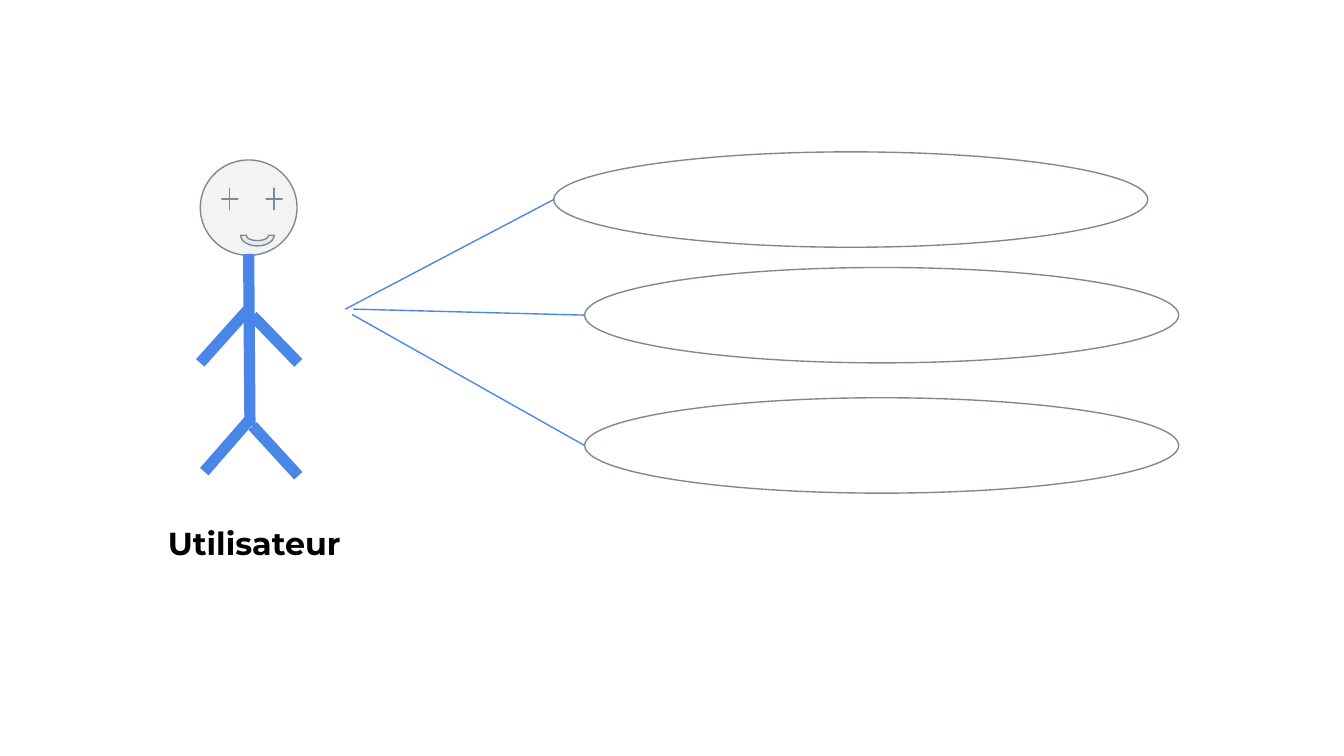
from lxml.etree import SubElement
from pptx import Presentation
from pptx.dml.color import RGBColor
from pptx.enum.shapes import MSO_CONNECTOR, MSO_SHAPE as Preset
from pptx.enum.text import MSO_AUTO_SIZE
from pptx.oxml.ns import qn
from pptx.util import Inches, Pt

THEME = {
    "blue": RGBColor(0x4A, 0x86, 0xE8),
    "outline": RGBColor(0x7C, 0x88, 0x94),
    "head": RGBColor(0xF3, 0xF3, 0xF3),
    "white": RGBColor(0xFF, 0xFF, 0xFF),
    "pale": RGBColor(0xE6, 0xEC, 0xEE),
    "text": RGBColor(0, 0, 0),
    "font": "Montserrat",
    "label_size": Pt(17),
    "thin": Pt(0.75),
    "thick": Pt(6),
}

SLIDE_WIDTH = Inches(10)
SLIDE_HEIGHT = SLIDE_WIDTH * 9 // 16

ACTOR = "Utilisateur"
LABEL_BOX = (1.15, 3.8, 1.81, 0.49)
HEAD_BOX = (1.49, 1.19, 0.72, 0.71)
MOUTH_BOX = (1.79, 1.67, 0.25, 0.16)
EYE_TOP, EYE_WIDTH, EYE_HEIGHT = 1.4, 0.12, 0.16
EYES = [(1.65, "white"), (1.98, "pale")]  # left, fill

LIMBS = {
    "body": (1.85, 1.89, 1.86, 3.17),
    "right arm": (1.88, 2.35, 2.22, 2.7),
    "left arm": (1.84, 2.31, 1.49, 2.7),
    "left leg": (1.86, 3.12, 1.52, 3.51),
    "right leg": (1.88, 3.17, 2.22, 3.54),
}

CASE_WIDTH, CASE_HEIGHT = 4.42, 0.71
USE_CASES = [  # left, top, fill, start of its link
    (4.12, 1.13, "white", (2.57, 2.3)),
    (4.35, 1.99, None, (2.63, 2.3)),
    (4.35, 2.96, None, (2.62, 2.34)),
]


def add_outlined(slide, preset, box, fill=None, adjustments=()):
    shape = slide.shapes.add_shape(preset, *map(Inches, box))
    shape.shadow.inherit = False
    for index, value in enumerate(adjustments):
        shape.adjustments[index] = value
    if fill:
        shape.fill.solid()
        shape.fill.fore_color.rgb = THEME[fill]
    else:
        shape.fill.background()
    shape.line.color.rgb = THEME["outline"]
    shape.line.width = THEME["thin"]
    return shape


def add_stroke(slide, ends, weight):
    stroke = slide.shapes.add_connector(MSO_CONNECTOR.STRAIGHT, *map(Inches, ends))
    stroke.line.color.rgb = THEME["blue"]
    stroke.line.width = THEME[weight]
    SubElement(stroke._element.spPr, qn("a:effectLst"))


def add_actor(slide):
    add_outlined(slide, Preset.OVAL, HEAD_BOX, "head")
    for limb in LIMBS.values():
        add_stroke(slide, limb, "thick")
    for left, fill in EYES:
        eye_box = (left, EYE_TOP, EYE_WIDTH, EYE_HEIGHT)
        add_outlined(slide, Preset.STAR_4_POINT, eye_box, fill, [0])
    mouth = add_outlined(slide, Preset.BLOCK_ARC, MOUTH_BOX, "pale", [108, 0, 0.25])
    mouth.rotation = 180


def add_label(slide):
    frame = slide.shapes.add_textbox(*map(Inches, LABEL_BOX)).text_frame
    frame_format = {"word_wrap": True, "auto_size": MSO_AUTO_SIZE.SHAPE_TO_FIT_TEXT}
    for side in ("left", "top", "right", "bottom"):
        frame_format[f"margin_{side}"] = Inches(0.1)
    for name, value in frame_format.items():
        setattr(frame, name, value)
    run = frame.paragraphs[0].add_run()
    run.text = ACTOR
    font_format = {"name": THEME["font"], "size": THEME["label_size"], "bold": True}
    for name, value in font_format.items():
        setattr(run.font, name, value)
    run.font.color.rgb = THEME["text"]


def add_use_cases(slide):
    for left, top, fill, start in USE_CASES:
        add_outlined(slide, Preset.OVAL, (left, top, CASE_WIDTH, CASE_HEIGHT), fill)
        add_stroke(slide, (*start, left, top + CASE_HEIGHT / 2), "thin")


def main():
    deck = Presentation()
    deck.slide_width, deck.slide_height = SLIDE_WIDTH, SLIDE_HEIGHT
    slide = deck.slides.add_slide(deck.slide_layouts[6])
    add_actor(slide)
    add_label(slide)
    add_use_cases(slide)
    deck.save("out.pptx")


if __name__ == "__main__":
    main()
